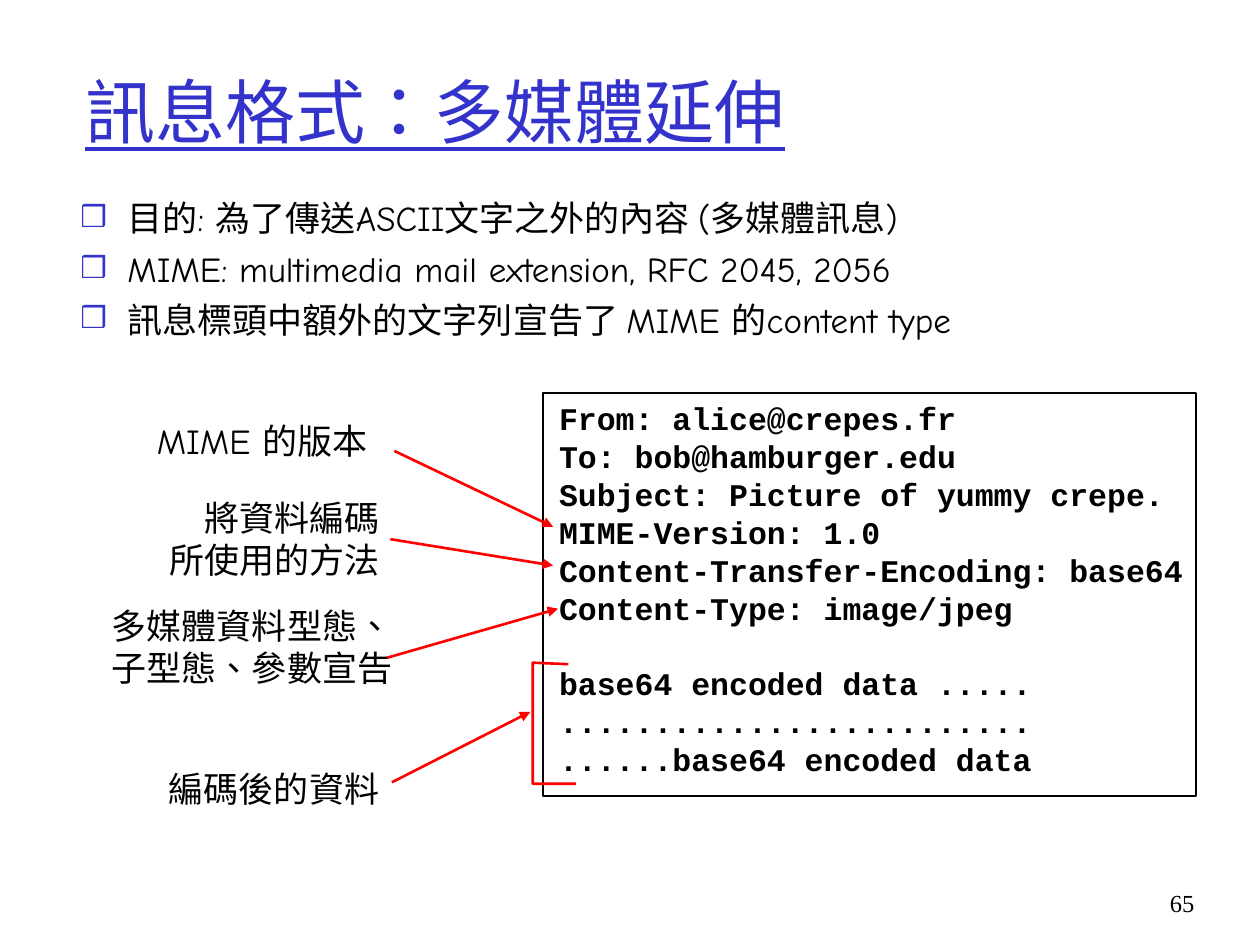
"""Build the slide on MIME, the multimedia extension of the mail message format."""
import pptx
import pptx.dml.color
import pptx.enum.lang
import pptx.enum.shapes
import pptx.enum.text
import pptx.oxml
import pptx.oxml.ns
import pptx.util
import lxml.etree

Cm = pptx.util.Cm
Pt = pptx.util.Pt
ALIGN = pptx.enum.text.PP_ALIGN
ANCHOR = pptx.enum.text.MSO_ANCHOR
CHINESE = pptx.enum.lang.MSO_LANGUAGE_ID.TRADITIONAL_CHINESE
COLOURS = {"heading": "3333CC", "text": "000000", "pointer": "FF0000"}
FORMATS = {
    "heading": {"name": "Comic Neue", "size": Pt(40), "underline": True, "language_id": CHINESE},
    "body": {"name": "Comic Neue", "size": Pt(20), "language_id": CHINESE},
    "code": {"name": "Courier New", "size": Pt(18), "bold": True},
    "number": {"name": "Times New Roman", "size": Pt(14)},
}
BULLET = (
    ("buClr", {}),
    ("buSzPct", {"val": "85000"}),
    ("buFont", {"typeface": "Comic Neue"}),
    ("buChar", {"char": "❒"}),
)


def add_text(place, lines, style, colour="text", align=ALIGN.LEFT, wrap=True, bullets=False):
    frame = slide.shapes.add_textbox(*map(Cm, place)).text_frame
    frame.word_wrap = wrap
    if not wrap:
        frame.auto_size = pptx.enum.text.MSO_AUTO_SIZE.SHAPE_TO_FIT_TEXT
    for index, line in enumerate(lines):
        paragraph = frame.paragraphs[0] if index == 0 else frame.add_paragraph()
        paragraph.text = line
        paragraph.alignment = align
        if bullets:
            properties = paragraph._p.get_or_add_pPr()
            properties.set("marL", str(Cm(0.95)))
            properties.set("indent", str(-Cm(0.95)))
            for tag, values in BULLET:
                mark = lxml.etree.SubElement(properties, pptx.oxml.ns.qn("a:" + tag), values)
                if tag == "buClr":
                    lxml.etree.SubElement(mark, pptx.oxml.ns.qn("a:srgbClr"), val=COLOURS["heading"])
            if index:
                paragraph.space_before = Pt(5)
        for run in paragraph.runs:
            for attribute, value in FORMATS[style].items():
                setattr(run.font, attribute, value)
            run.font.color.rgb = pptx.dml.color.RGBColor.from_string(COLOURS[colour])
    return frame


def set_line(shape, colour, width):
    shape.line.color.rgb = pptx.dml.color.RGBColor.from_string(COLOURS[colour])
    shape.line.width = Pt(width)


deck = pptx.Presentation()
deck.slide_width, deck.slide_height = Cm(25.4), Cm(19.05)
slide = deck.slides.add_slide(deck.slide_layouts[6])

heading = add_text((1.47, 0.64, 23.29, 3.18), ["訊息格式：多媒體延伸"], "heading", "heading")
heading.vertical_anchor = ANCHOR.MIDDLE

add_text(
    (1.37, 3.84, 20.35, 12.9),
    [
        "目的: 為了傳送ASCII文字之外的內容 (多媒體訊息)",
        "MIME: multimedia mail extension, RFC 2045, 2056",
        "訊息標頭中額外的文字列宣告了 MIME 的content type",
    ],
    "body",
    bullets=True,
)

headers = [
    "From: alice@crepes.fr",
    "To: bob@hamburger.edu",
    "Subject: Picture of yummy crepe.",
    "MIME-Version: 1.0",
    "Content-Transfer-Encoding: base64",
    "Content-Type: image/jpeg",
]
encoded = ["base64 encoded data .....", "." * 25, "......base64 encoded data"]
message = add_text((11.02, 7.92, 13.82, 8.64), headers + encoded, "code")
for line in message.paragraphs:
    line.line_spacing = Pt(21.65)
message.paragraphs[len(headers)].space_before = Pt(21.65)

message_border = slide.shapes.add_shape(
    pptx.enum.shapes.MSO_SHAPE.RECTANGLE, Cm(10.95), Cm(7.92), Cm(13.16), Cm(8.13)
)
message_border.shadow.inherit = False
message_border.fill.background()
set_line(message_border, "text", 1)

callouts = [
    ((2.82, 8.33, 4.93, 1.12), ["MIME 的版本"], ALIGN.CENTER, (7.95, 9.09, 11.15, 10.62)),
    ((3.15, 9.88, 4.75, 1.96), ["將資料編碼", "所使用的方法"], ALIGN.RIGHT, (7.87, 10.87, 11.15, 11.4)),
    ((1.96, 12.07, 6.2, 1.96), ["多媒體資料型態、", "子型態、參數宣告"], ALIGN.RIGHT, (7.8, 13.26, 11.25, 12.27)),
    ((3.15, 15.34, 4.75, 1.12), ["編碼後的資料"], ALIGN.CENTER, (7.9, 15.77, 10.69, 14.35)),
]
for place, lines, align, ends in callouts:
    add_text(place, lines, "body", align=align, wrap=False)
    pointer = slide.shapes.add_connector(pptx.enum.shapes.MSO_CONNECTOR.STRAIGHT, *map(Cm, ends))
    set_line(pointer, "pointer", 1.5)
    lxml.etree.SubElement(pointer.line._get_or_add_ln(), pptx.oxml.ns.qn("a:tailEnd"), type="triangle")
    lxml.etree.SubElement(pointer._element.spPr, pptx.oxml.ns.qn("a:effectLst"))

corners = [(Cm(x), Cm(y)) for x, y in ((11.46, 13.39), (10.74, 13.36), (10.74, 15.8), (11.61, 15.8))]
outline = slide.shapes.build_freeform(*corners[0])
outline.add_line_segments(corners[1:], close=False)
data_bracket = outline.convert_to_shape()
data_bracket.shadow.inherit = False
data_bracket.fill.background()
set_line(data_bracket, "pointer", 1.5)

add_text((23.06, 17.78, 1.27, 1.27), ["65"], "number", align=ALIGN.RIGHT)

deck.save("out.pptx")
